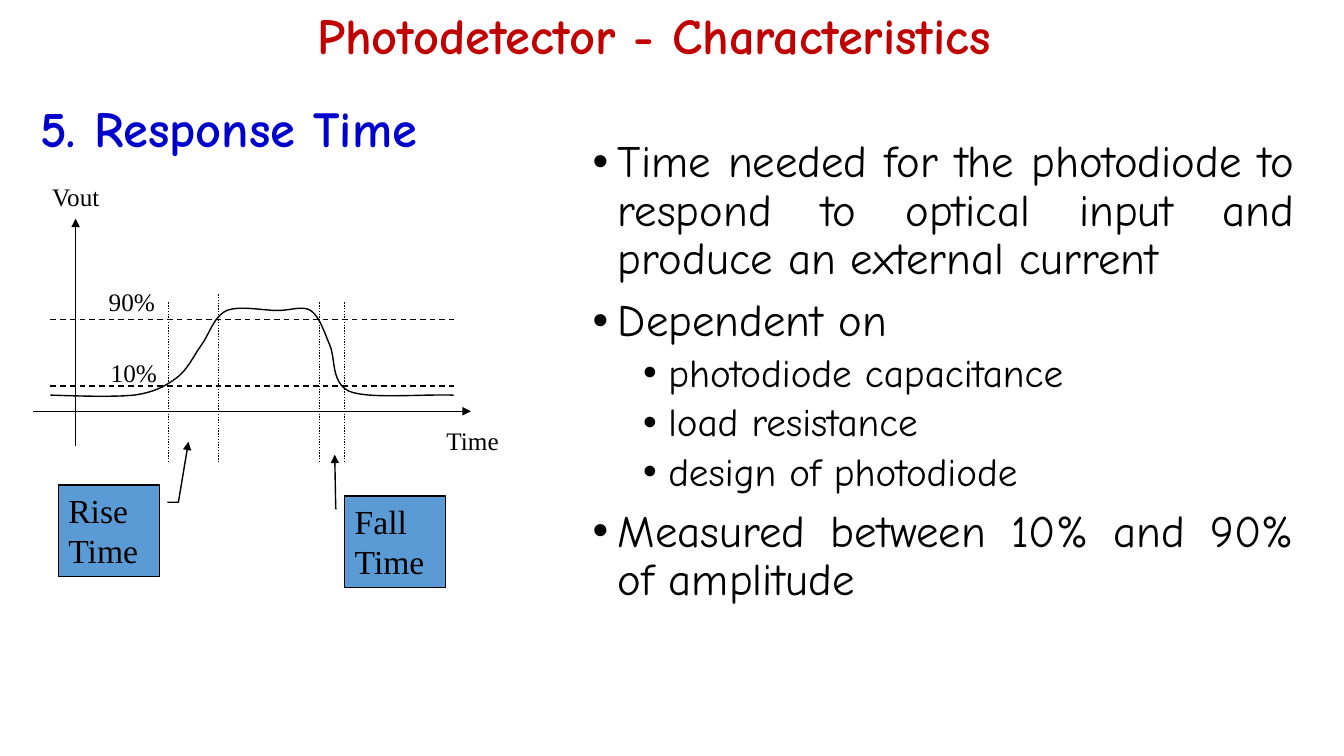
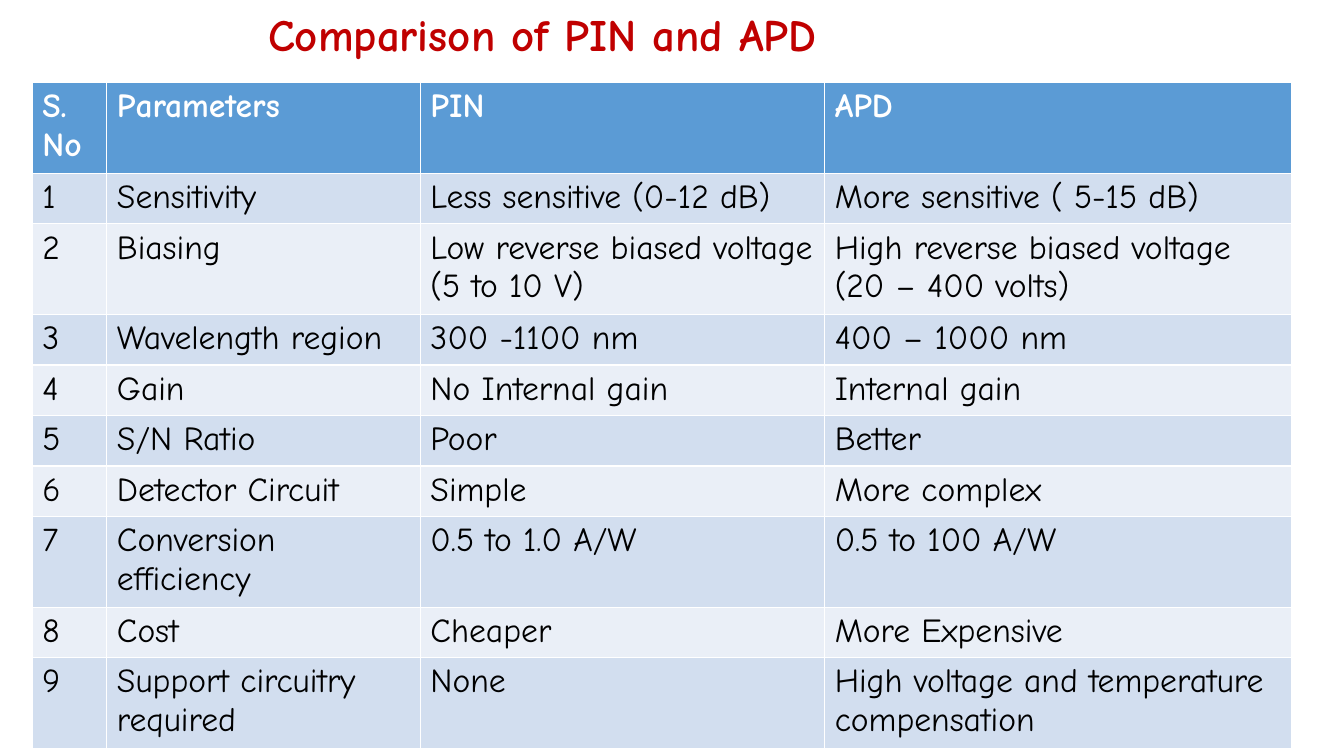
from lxml.etree import SubElement
from pptx import Presentation
from pptx.dml.color import RGBColor
from pptx.enum.dml import MSO_LINE
from pptx.enum.shapes import MSO_CONNECTOR, MSO_SHAPE
from pptx.enum.text import MSO_ANCHOR, PP_ALIGN
from pptx.oxml.ns import qn
from pptx.util import Inches, Pt

COLORS = {
    "title": "C00000",
    "heading": "0000CC",
    "text": "000000",
    "white": "FFFFFF",
    "accent": "5B9BD5",
    "band_dark": "D2DEEF",
    "band_light": "EAEFF7",
}
COMIC = "Comic Neue"
TIMES = "Times New Roman"

# Text formats
TITLE = {"name": COMIC, "size": Pt(36), "bold": True, "color": "title"}
TABLE_TITLE = {**TITLE, "size": Pt(32)}
HEADING = {**TITLE, "color": "heading"}
BULLET = {"name": COMIC, "size": Pt(32), "bold": False, "color": "text"}
SUB_BULLET = {**BULLET, "size": Pt(28)}
LABEL = {"name": TIMES, "size": Pt(18), "bold": False, "color": "text"}
CALLOUT = {**LABEL, "size": Pt(24)}
BODY_CELL = {**BULLET, "size": Pt(24)}
HEADER_CELL = {**BODY_CELL, "bold": True, "color": "white"}


def write(para, text, style):
    """Add text to a paragraph in the given format."""
    span = para.add_run()
    span.text = text
    for key, value in style.items():
        if key == "color":
            span.font.color.rgb = RGBColor.from_string(COLORS[value])
        else:
            setattr(span.font, key, value)


def add_text(page, place, text, style, wrap=True):
    """Add a one-paragraph text box and return it."""
    box = page.shapes.add_textbox(*[Inches(value) for value in place])
    box.text_frame.word_wrap = wrap
    write(box.text_frame.paragraphs[0], text, style)
    return box


deck = Presentation()
deck.slide_width = Inches(13.33)
deck.slide_height = Inches(7.5)
blank = deck.slide_layouts[6]
black = RGBColor.from_string(COLORS["text"])

# Slide 1: response time
page = deck.slides.add_slide(blank)
add_text(page, (3.05, -0.01, 8.08, 0.71), "Photodetector - Characteristics", TITLE)
heading = add_text(page, (0.3, 1.04, 4.95, 0.53), "5. Response Time", HEADING)
heading.text_frame.vertical_anchor = MSO_ANCHOR.MIDDLE
heading.text_frame.paragraphs[0].line_spacing = 0.9

# Output curve: a start point, then two control points and an end point per bend
start = (0.5, 3.92)
bends = [
    ((0.81, 3.93), (1.12, 3.94), (1.33, 3.92)),
    ((1.54, 3.89), (1.64, 3.83), (1.75, 3.75)),
    ((1.86, 3.67), (1.92, 3.53), (2, 3.42)),
    ((2.08, 3.31), (2.12, 3.14), (2.25, 3.08)),
    ((2.38, 3.03), (2.61, 3.08), (2.75, 3.08)),
    ((2.89, 3.08), (3, 3.03), (3.08, 3.08)),
    ((3.17, 3.14), (3.21, 3.28), (3.27, 3.42)),
    ((3.33, 3.55), (3.28, 3.79), (3.46, 3.88)),
    ((3.64, 3.96), (4.16, 3.91), (4.5, 3.92)),
]
STEPS = 12
curve_points = []
knot = start
for first, second, end in bends:
    for step in range(1, STEPS + 1):
        t = step / STEPS
        weights = ((1 - t) ** 3, 3 * t * (1 - t) ** 2, 3 * t**2 * (1 - t), t**3)
        corners = (knot, first, second, end)
        curve_points.append([
            Inches(sum(weight * corner[axis] for weight, corner in zip(weights, corners)))
            for axis in (0, 1)
        ])
    knot = end
builder = page.shapes.build_freeform(Inches(start[0]), Inches(start[1]))
builder.add_line_segments(curve_points, close=False)
curve = builder.convert_to_shape()
curve.shadow.inherit = False
curve.fill.background()
curve.line.color.rgb = black
curve.line.width = Pt(1)

# Levels, time marks and axes: from x, y to x, y, dash, arrow
graph_lines = [(0.5, y, 4.5, y, MSO_LINE.DASH, False) for y in (3.83, 3.17)]
graph_lines += [
    (x, top, x, 4.58, MSO_LINE.ROUND_DOT, False)
    for x, top in ((1.67, 3), (2.17, 2.92), (3.17, 3), (3.42, 3))
]
graph_lines += [
    (0.75, 4.42, 0.75, 2.17, MSO_LINE.SOLID, True),
    (0.33, 4.08, 4.67, 4.08, MSO_LINE.SOLID, True),
]
for *ends, dash, arrow in graph_lines:
    line = page.shapes.add_connector(
        MSO_CONNECTOR.STRAIGHT, *[Inches(value) for value in ends])
    line.line.color.rgb = black
    line.line.width = Pt(1)
    line.line.dash_style = dash
    properties = line._element.spPr
    if arrow:
        SubElement(properties.find(qn("a:ln")), qn("a:tailEnd"), type="triangle")
    SubElement(properties, qn("a:effectLst"))

for text, left, top, width in (
    ("90%", 0.98, 2.79, 0.66),
    ("10%", 1, 3.5, 0.66),
    ("Vout", 0.42, 1.75, 0.7),
    ("Time", 4.33, 4.17, 0.73),
):
    add_text(page, (left, top, width, 0.4), text, LABEL, wrap=False)

# Callouts with pointers
for text, left, top, pointer in (
    ("Rise Time", 0.58, 4.81, (0.19, 1.08, 0.19, 1.19, -0.47, 1.29)),
    ("Fall Time", 3.42, 4.92, (0.14, -0.08, 0.14, -0.09, -0.45, -0.1)),
):
    callout = page.shapes.add_shape(
        MSO_SHAPE.LINE_CALLOUT_2, Inches(left), Inches(top), Inches(1), Inches(0.91))
    for index, value in enumerate(pointer):
        callout.adjustments[index] = value
    callout.shadow.inherit = False
    callout.fill.solid()
    callout.fill.fore_color.rgb = RGBColor.from_string(COLORS["accent"])
    callout.line.color.rgb = black
    callout.line.width = Pt(1)
    SubElement(callout._element.spPr.find(qn("a:ln")), qn("a:tailEnd"), type="triangle")
    frame = callout.text_frame
    frame.word_wrap = True
    frame.vertical_anchor = MSO_ANCHOR.TOP
    para = frame.paragraphs[0]
    para.alignment = PP_ALIGN.LEFT
    write(para, text, CALLOUT)

# Bullets
bullets = [
    (0, "Time needed for the photodiode to respond to optical input "
        "and produce an external current"),
    (0, "Dependent on"),
    (1, "photodiode capacitance"),
    (1, "load resistance"),
    (1, "design of photodiode"),
    (0, "Measured between 10% and 90% of amplitude"),
]
box = page.shapes.add_textbox(Inches(5.78), Inches(1.33), Inches(7.16), Inches(5.67))
frame = box.text_frame
frame.word_wrap = True
for index, (level, text) in enumerate(bullets):
    para = frame.add_paragraph() if index else frame.paragraphs[0]
    para.level = level
    para.alignment = PP_ALIGN.JUSTIFY
    para.line_spacing = 0.9
    if index:
        para.space_before = Pt(5 if level else 10)
    properties = para._p.get_or_add_pPr()
    properties.set("marL", str(Inches(0.25 + 0.5 * level)))
    properties.set("indent", str(Inches(-0.25)))
    SubElement(properties, qn("a:buFont"), typeface="Arial")
    SubElement(properties, qn("a:buChar"), char="•")
    write(para, text, SUB_BULLET if level else BULLET)

# Slide 2: comparison table
page = deck.slides.add_slide(blank)
add_text(page, (2.56, 0.02, 6.31, 0.64), "Comparison of PIN and APD", TABLE_TITLE)

rows = [
    ("S. No", "Parameters", "PIN", "APD"),
    ("1", "Sensitivity", "Less sensitive (0-12 dB)", "More sensitive ( 5-15 dB)"),
    ("2", "Biasing", "Low reverse biased voltage (5 to 10 V)",
     "High reverse biased voltage (20 – 400 volts)"),
    ("3", "Wavelength region", "300 -1100 nm", "400 – 1000 nm"),
    ("4", "Gain", "No Internal gain", "Internal gain"),
    ("5", "S/N Ratio", "Poor", "Better"),
    ("6", "Detector Circuit", "Simple", "More complex"),
    ("7", "Conversion efficiency", "0.5 to 1.0 A/W", "0.5 to 100 A/W"),
    ("8", "Cost", "Cheaper", "More Expensive"),
    ("9", "Support circuitry required", "None",
     "High voltage and temperature compensation"),
]
widths = (0.74, 3.11, 4.01, 4.63)
two_line_rows = (0, 2, 7, 9)
heights = [0.87 if index in two_line_rows else 0.48 for index in range(len(rows))]
table = page.shapes.add_table(
    len(rows), len(widths), Inches(0.32), Inches(0.82),
    Inches(sum(widths)), Inches(sum(heights))).table
for column, width in zip(table.columns, widths):
    column.width = Inches(width)
for index, (texts, height) in enumerate(zip(rows, heights)):
    table.rows[index].height = Inches(height)
    band = "band_dark" if index % 2 else "band_light"
    for cell, text in zip(table.rows[index].cells, texts):
        cell.fill.solid()
        cell.fill.fore_color.rgb = RGBColor.from_string(COLORS[band if index else "accent"])
        write(cell.text_frame.paragraphs[0], text, BODY_CELL if index else HEADER_CELL)

deck.save("out.pptx")
